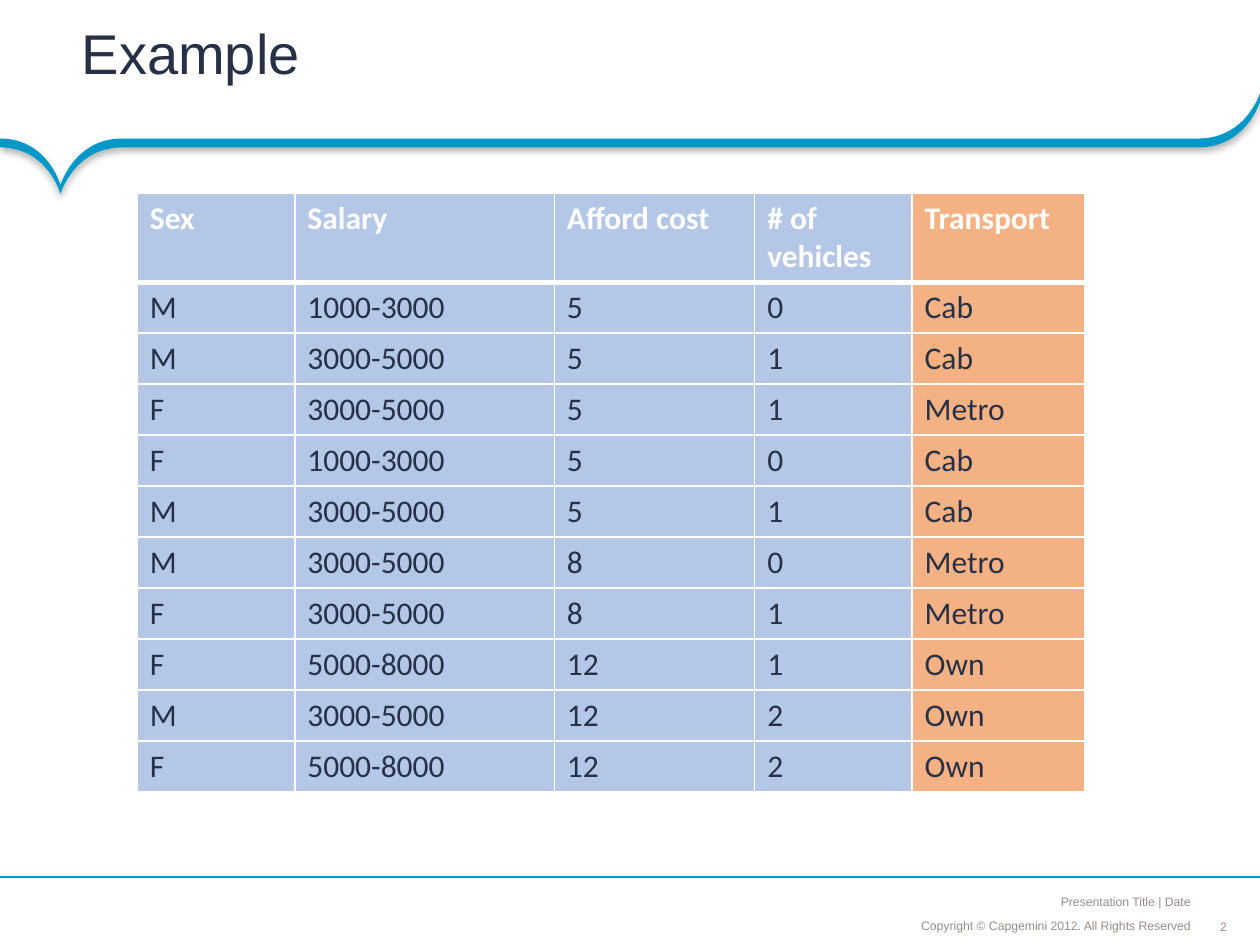
import lxml.etree
import pptx
import pptx.util
import pptx.dml.color
import pptx.enum.shapes
import pptx.enum.text
import pptx.oxml
import pptx.oxml.ns

Inches = pptx.util.Inches
Pt = pptx.util.Pt
RGB = pptx.dml.color.RGBColor
ALIGN = pptx.enum.text.PP_ALIGN
ANCHOR = pptx.enum.text.MSO_ANCHOR
qn = pptx.oxml.ns.qn

BLUE = RGB(0x00, 0x98, 0xC7)
NAVY = RGB(0x26, 0x31, 0x47)
GREY = RGB(0x99, 0x8C, 0x85)
WHITE = RGB(0xFF, 0xFF, 0xFF)
PALE = RGB(0xB4, 0xC7, 0xE7)
PEACH = RGB(0xF4, 0xB1, 0x83)

HEADS = ["Sex", "Salary", "Afford cost", "# of vehicles", "Transport"]
ROWS = [
    ["M", "1000-3000", "5", "0", "Cab"],
    ["M", "3000-5000", "5", "1", "Cab"],
    ["F", "3000-5000", "5", "1", "Metro"],
    ["F", "1000-3000", "5", "0", "Cab"],
    ["M", "3000-5000", "5", "1", "Cab"],
    ["M", "3000-5000", "8", "0", "Metro"],
    ["F", "3000-5000", "8", "1", "Metro"],
    ["F", "5000-8000", "12", "1", "Own"],
    ["M", "3000-5000", "12", "2", "Own"],
    ["F", "5000-8000", "12", "2", "Own"],
]
WIDTHS = [1.25, 2.06, 1.59, 1.25, 1.37]


def write(frame, text, size=7, face="Arial", color=GREY, bold=False,
          align=ALIGN.LEFT, space=None):
    para = frame.paragraphs[0]
    para.alignment = align
    para.line_spacing = space
    run = para.add_run()
    run.text = text
    run.font.size = Pt(size)
    run.font.name = face
    run.font.bold = bold
    run.font.color.rgb = color


def add_label(slide, box, text, pads, anchor, wrap=True, **style):
    """Add a text box; pads are its left, top, right and bottom insets."""
    frame = slide.shapes.add_textbox(*map(Inches, box)).text_frame
    (frame.margin_left, frame.margin_top,
     frame.margin_right, frame.margin_bottom) = map(Inches, pads)
    frame.vertical_anchor = anchor
    frame.word_wrap = wrap
    write(frame, text, **style)


def bend(line, first, second):
    """Turn a straight outline segment into a curve with two controls."""
    line.tag = qn("a:cubicBezTo")
    for spot, (x, y) in enumerate((first, second)):
        point = lxml.etree.Element(
            qn("a:pt"), x=str(Inches(x)), y=str(Inches(y)))
        line.insert(spot, point)


def add_wave(slide, left, top, width):
    """Draw the ribbon with its pointed dip and its raised right end."""
    thick, level, tip = 0.07, 0.36, 0.73
    mid, flat, end = 0.48, 0.97, width - 0.49
    low = level + thick
    dip, base = (mid, tip), (mid, tip + thick)
    peak, under = (width, 0), (width, thick)
    # Each segment: its end, then its two controls when it is curved.
    parts = [
        [(flat, level)],
        [dip, (0.59, level), dip],
        [(0, level), dip, (0.38, level)],
        [(0, low)],
        [base, (0.38, low), base],
        [(flat, low), base, (0.59, low)],
        [(end, low)],
        [under, (width - 0.11, low), under],
        [peak],
        [(end, level), peak, (width - 0.11, level)],
    ]
    pen = slide.shapes.build_freeform(Inches(end), Inches(level))
    pen.add_line_segments(
        [tuple(map(Inches, part[0])) for part in parts], close=True)
    wave = pen.convert_to_shape(Inches(left), Inches(top))
    props = wave._element.spPr
    for line, part in zip(list(props.iter(qn("a:lnTo"))), parts):
        if len(part) == 3:
            bend(line, *part[1:])
    wave.fill.solid()
    wave.fill.fore_color.rgb = BLUE
    wave.line.fill.background()
    wave.shadow.inherit = False
    glow = props.find(qn("a:effectLst"))
    shade = lxml.etree.SubElement(
        glow, qn("a:outerShdw"), blurRad=str(Pt(4)), dist=str(Pt(2)),
        dir="5400000", algn="t", rotWithShape="0")
    tint = lxml.etree.SubElement(shade, qn("a:srgbClr"), val="000000")
    lxml.etree.SubElement(tint, qn("a:alpha"), val="31000")


def add_head(slide, left, top, width, height):
    add_wave(slide, left, top + 0.74, width)
    add_label(slide, (left + 0.33, top + 0.02, width - 1, height - 0.67),
              "Example", (0.32, 0.04, 0.18, 0.04), ANCHOR.MIDDLE,
              size=32, color=NAVY, space=0.85)


def set_edges(cell, top, base):
    """Give a cell white borders, 1 pt at the sides."""
    props = cell._tc.get_or_add_tcPr()
    for side, size in zip("LRTB", (1, 1, top, base)):
        line = lxml.etree.SubElement(props, qn("a:ln" + side), w=str(Pt(size)))
        fill = lxml.etree.SubElement(line, qn("a:solidFill"))
        lxml.etree.SubElement(fill, qn("a:srgbClr"), val=str(WHITE))


def add_grid(slide, left, top, width, height):
    data = [HEADS] + ROWS
    first = 0.71
    step = (height - first) / len(ROWS)
    grid = slide.shapes.add_table(
        len(data), len(HEADS), *map(Inches, (left, top, width, height))).table
    grid.horz_banding = False
    for col, size in zip(grid.columns, WIDTHS):
        col.width = Inches(size * width / sum(WIDTHS))
    for r, texts in enumerate(data):
        head = r == 0
        grid.rows[r].height = Inches(first if head else step)
        for c, text in enumerate(texts):
            cell = grid.cell(r, c)
            set_edges(cell, 3 if r == 1 else 1, 3 if head else 1)
            cell.fill.solid()
            cell.fill.fore_color.rgb = PEACH if c == len(HEADS) - 1 else PALE
            write(cell.text_frame, text, size=18, face="Calibri",
                  color=WHITE if head else NAVY, bold=head)


def add_foot(slide, left, top, width):
    rule = slide.shapes.add_connector(
        pptx.enum.shapes.MSO_CONNECTOR.STRAIGHT,
        Inches(left + width), Inches(top), Inches(left), Inches(top))
    rule.line.color.rgb = BLUE
    rule.line.width = Pt(0.75)
    lxml.etree.SubElement(rule._element.spPr, qn("a:effectLst"))
    right = left + width - 0.51
    pads = (0.04,) * 4
    add_label(slide, (right - 1.93, top + 0.08, 1.93, 0.21),
              "Presentation Title | Date", pads, ANCHOR.BOTTOM,
              wrap=False, align=ALIGN.RIGHT)
    add_label(slide, (right - 2.69, top + 0.29, 2.69, 0.2),
              "Copyright © Capgemini 2012. All Rights Reserved", pads,
              ANCHOR.BOTTOM, align=ALIGN.RIGHT, space=0.9)
    add_label(slide, (right + 0.16, top + 0.33, 0.12, 0.12), "2", (0,) * 4,
              ANCHOR.MIDDLE, wrap=False, align=ALIGN.CENTER)


def main():
    deck = pptx.Presentation()
    deck.slide_width = Inches(10)
    deck.slide_height = Inches(7.5)
    slide = deck.slides.add_slide(deck.slide_layouts[6])
    add_head(slide, 0, 0, 10, 1.54)
    add_grid(slide, 1.09, 1.53, 7.52, 4.76)
    add_foot(slide, 0, 6.96, 10)
    deck.save("out.pptx")


if __name__ == "__main__":
    main()
